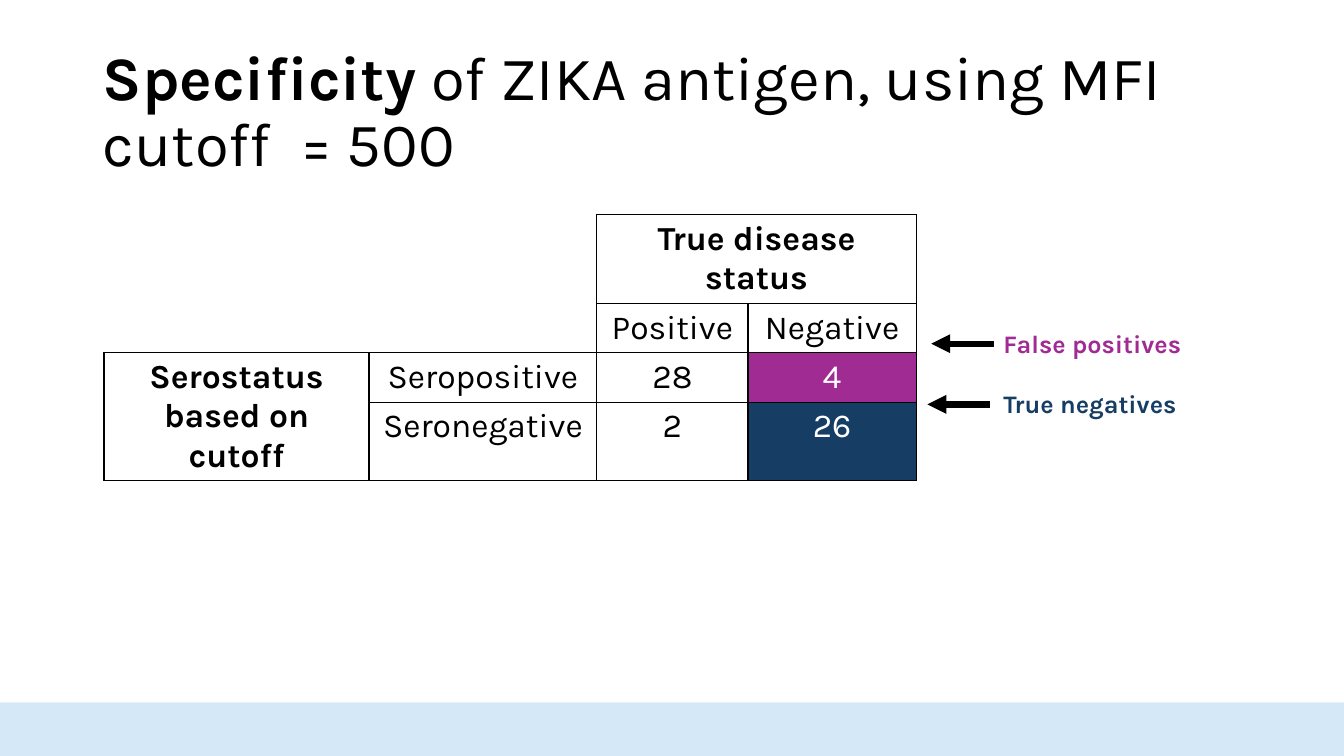
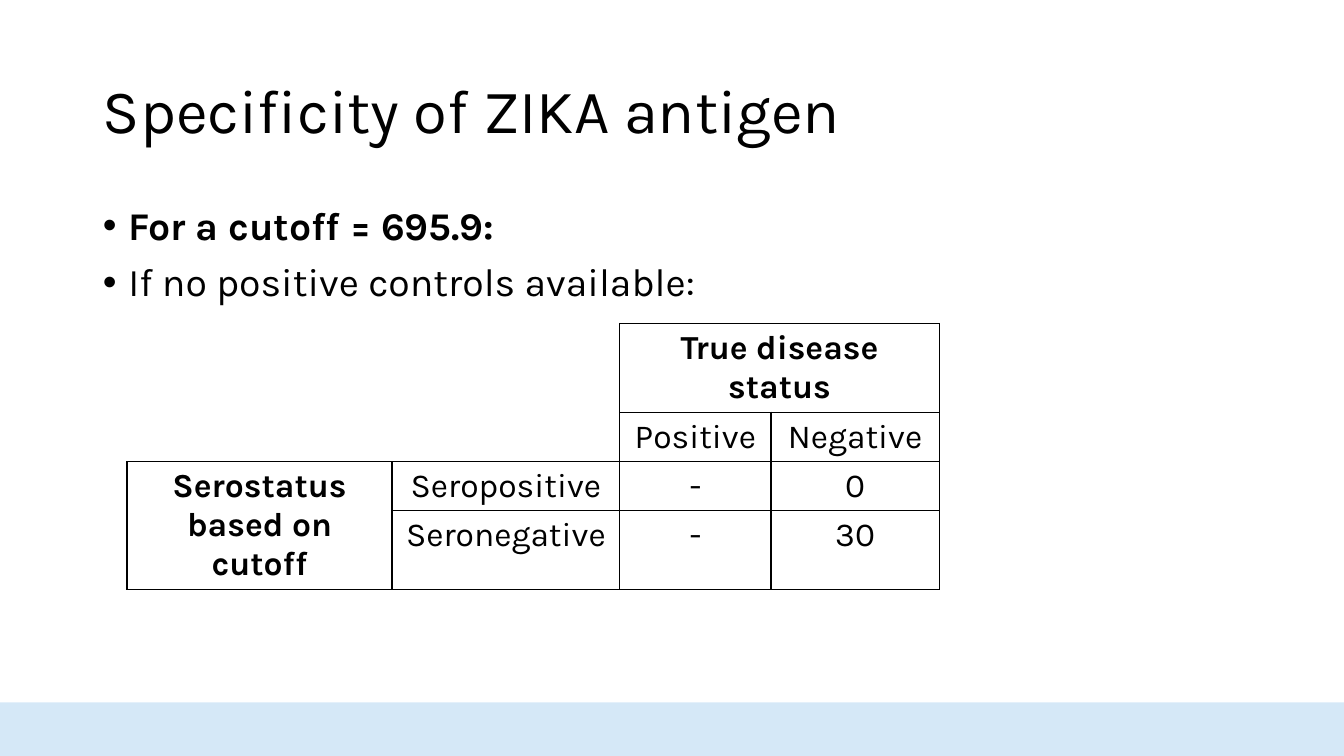
from dataclasses import dataclass
from itertools import product
from typing import Any

from lxml.etree import SubElement
from pptx import Presentation
from pptx.dml.color import RGBColor
from pptx.enum.shapes import MSO_CONNECTOR, MSO_SHAPE
from pptx.enum.text import MSO_ANCHOR, MSO_AUTO_SIZE, PP_ALIGN
from pptx.oxml import parse_xml
from pptx.oxml.ns import nsdecls, qn
from pptx.presentation import Presentation as Deck
from pptx.slide import Slide
from pptx.table import _Cell as Cell
from pptx.util import Cm, Pt

BLACK = RGBColor(0x00, 0x00, 0x00)
WHITE = RGBColor(0xFF, 0xFF, 0xFF)
BAND_BLUE = RGBColor(0x66, 0xAB, 0xE5)
PURPLE = RGBColor(0xA0, 0x2B, 0x93)
NAVY = RGBColor(0x16, 0x3E, 0x64)

FONT = "Karla"
BAND_OPACITY = 27000
BULLET_INDENT = Cm(0.64)
COLUMN_WIDTHS = (6.68, 5.74, 3.81, 4.24)
ROW_HEIGHTS = (2.24, 1.24, 1.24, 1.98)
TITLE_BOX = {"left": Cm(2.34), "top": Cm(1.02), "width": Cm(29.21), "height": Cm(3.68)}
BODY_BOX = {**TITLE_BOX, "top": Cm(5.08), "height": Cm(12.09)}
TITLE_FRAME = {
    "word_wrap": True,
    "auto_size": MSO_AUTO_SIZE.NONE,
    "vertical_anchor": MSO_ANCHOR.MIDDLE,
}
BODY_FRAME = {**TITLE_FRAME, "vertical_anchor": MSO_ANCHOR.TOP}
TEXT_PARAGRAPH = {"alignment": PP_ALIGN.LEFT, "line_spacing": 0.9}


@dataclass(frozen=True)
class Span:
    text: str
    bold: bool = False


@dataclass(frozen=True)
class Count:
    text: str
    fill: RGBColor = WHITE
    color: RGBColor = BLACK


@dataclass(frozen=True)
class Callout:
    text: str
    color: RGBColor
    top: float
    arrow_start: float
    arrow_y: float


CALLOUTS = (
    Callout("False positives", PURPLE, 8.15, 25.04, 8.66),
    Callout("True negatives", NAVY, 9.65, 24.94, 10.19),
)
CALLOUT_LEFT = 25.04
ARROW_LENGTH = 1.57


def set_values(target: Any, values: dict[str, Any]) -> None:
    for name, value in values.items():
        setattr(target, name, value)


def add_span(para: Any, span: Span, size: float, color: RGBColor = BLACK) -> None:
    run = para.add_run()
    run.text = span.text
    set_values(run.font, {"name": FONT, "size": Pt(size), "bold": span.bold})
    run.font.color.rgb = color


def add_band(deck: Deck, page: Slide) -> None:
    """Draw the bottom band once and hand it to the slide master."""
    band = page.shapes.add_shape(
        MSO_SHAPE.RECTANGLE, Cm(-0.03), Cm(17.7), Cm(33.9), Cm(1.4)
    )
    band.shadow.inherit = False
    band.fill.solid()
    band.fill.fore_color.rgb = BAND_BLUE
    band.line.fill.background()
    color = band.element.spPr.find(qn("a:solidFill"))[0]
    SubElement(color, qn("a:alpha"), val=str(BAND_OPACITY))
    deck.slide_master.shapes.element.insert(2, band.element)


def write_title(page: Slide, *spans: Span) -> None:
    title = page.shapes.title
    set_values(title, TITLE_BOX)
    set_values(title.text_frame, TITLE_FRAME)
    para = title.text_frame.paragraphs[0]
    set_values(para, TEXT_PARAGRAPH)
    for span in spans:
        add_span(para, span, 44)


def write_bullets(page: Slide, *spans: Span) -> None:
    body = page.placeholders[1]
    set_values(body, BODY_BOX)
    frame = body.text_frame
    set_values(frame, BODY_FRAME)
    for index, span in enumerate(spans):
        para = frame.add_paragraph() if index else frame.paragraphs[0]
        set_values(para, {**TEXT_PARAGRAPH, "space_before": Pt(10 if index else 0)})
        properties = para._p.get_or_add_pPr()
        properties.set("marL", str(BULLET_INDENT))
        properties.set("indent", str(-BULLET_INDENT))
        SubElement(properties, qn("a:buFont"), typeface="Arial")
        SubElement(properties, qn("a:buChar"), char="•")
        add_span(para, span, 28)


def set_borders(cell: Cell, sides: str) -> None:
    """Rule the named sides (letters of LRTB) and clear the others."""
    properties = cell._tc.get_or_add_tcPr()
    for index, side in enumerate("LRTB"):
        paint = f'<a:solidFill><a:srgbClr val="{str(BLACK)}"/></a:solidFill>'
        if side not in sides:
            paint = "<a:noFill/>"
        border = f'<a:ln{side} {nsdecls("a")} w="{int(Pt(1))}">{paint}</a:ln{side}>'
        properties.insert(index, parse_xml(border))


def fill_cell(cell: Cell, span: Span, fill: RGBColor, color: RGBColor) -> None:
    cell.fill.solid()
    cell.fill.fore_color.rgb = fill
    para = cell.text_frame.paragraphs[0]
    para.alignment = PP_ALIGN.CENTER
    if span.text:
        add_span(para, span, 24, color)


def add_status_table(
    page: Slide, left: float, top: float, counts: tuple[tuple[Count, Count], ...]
) -> None:
    """Cross the serostatus with the true disease status."""
    table = page.shapes.add_table(
        len(ROW_HEIGHTS), len(COLUMN_WIDTHS), Cm(left), Cm(top),
        Cm(sum(COLUMN_WIDTHS)), Cm(sum(ROW_HEIGHTS)),
    ).table
    set_values(table, {"first_row": False, "horz_banding": False})
    for column, width in zip(table.columns, COLUMN_WIDTHS):
        column.width = Cm(width)
    for row, height in zip(table.rows, ROW_HEIGHTS):
        row.height = Cm(height)

    labels = {
        (0, 2): Span("True disease status", bold=True),
        (1, 2): Span("Positive"),
        (1, 3): Span("Negative"),
        (2, 0): Span("Serostatus based on cutoff", bold=True),
        (2, 1): Span("Seropositive"),
        (3, 1): Span("Seronegative"),
    }
    for row, column in product(range(4), range(4)):
        cell = table.cell(row, column)
        if row >= 2 and column >= 2:
            count = counts[row - 2][column - 2]
            fill_cell(cell, Span(count.text), count.fill, count.color)
        else:
            fill_cell(cell, labels.get((row, column), Span("")), WHITE, BLACK)
        in_corner = row < 2 and column < 2
        set_borders(cell, "RB" if in_corner else "LRTB")

    for first, last in (((0, 0), (1, 1)), ((0, 2), (0, 3)), ((2, 0), (3, 0))):
        table.cell(*first).merge(table.cell(*last))


def add_callout(page: Slide, callout: Callout) -> None:
    box = page.shapes.add_textbox(
        Cm(CALLOUT_LEFT), Cm(callout.top), Cm(5.69), Cm(1.02)
    )
    box.text_frame.word_wrap = True
    para = box.text_frame.paragraphs[0]
    add_span(para, Span(callout.text, bold=True), 18, callout.color)

    start, y = callout.arrow_start, Cm(callout.arrow_y)
    arrow = page.shapes.add_connector(
        MSO_CONNECTOR.STRAIGHT, Cm(start), y, Cm(start - ARROW_LENGTH), y
    )
    arrow.line.width = Pt(4.5)
    arrow.line.color.rgb = BLACK
    properties = arrow.element.spPr
    SubElement(properties.find(qn("a:ln")), qn("a:tailEnd"), type="triangle")
    SubElement(properties, qn("a:effectLst"))


def build_cutoff_500(page: Slide) -> None:
    write_title(
        page,
        Span("Specificity", bold=True),
        Span(" of ZIKA antigen, using MFI cutoff  = 500"),
    )
    counts = (
        (Count("28"), Count("4", PURPLE, WHITE)),
        (Count("2"), Count("26", NAVY, WHITE)),
    )
    add_status_table(page, 2.62, 5.41, counts)
    for callout in CALLOUTS:
        add_callout(page, callout)


def build_cutoff_696(page: Slide) -> None:
    write_title(page, Span("Specificity of ZIKA antigen"))
    write_bullets(
        page,
        Span("For a cutoff = 695.9:", bold=True),
        Span("If no positive controls available:"),
    )
    counts = ((Count("-"), Count("0")), (Count("-"), Count("30")))
    add_status_table(page, 3.2, 8.15, counts)


def main() -> None:
    deck = Presentation()
    set_values(deck, {"slide_width": Cm(33.87), "slide_height": Cm(19.05)})
    title_only = deck.slide_layouts.get_by_name("Title Only")
    title_and_content = deck.slide_layouts.get_by_name("Title and Content")
    first_page = deck.slides.add_slide(title_only)
    add_band(deck, first_page)
    build_cutoff_500(first_page)
    build_cutoff_696(deck.slides.add_slide(title_and_content))
    deck.save("out.pptx")


if __name__ == "__main__":
    main()
